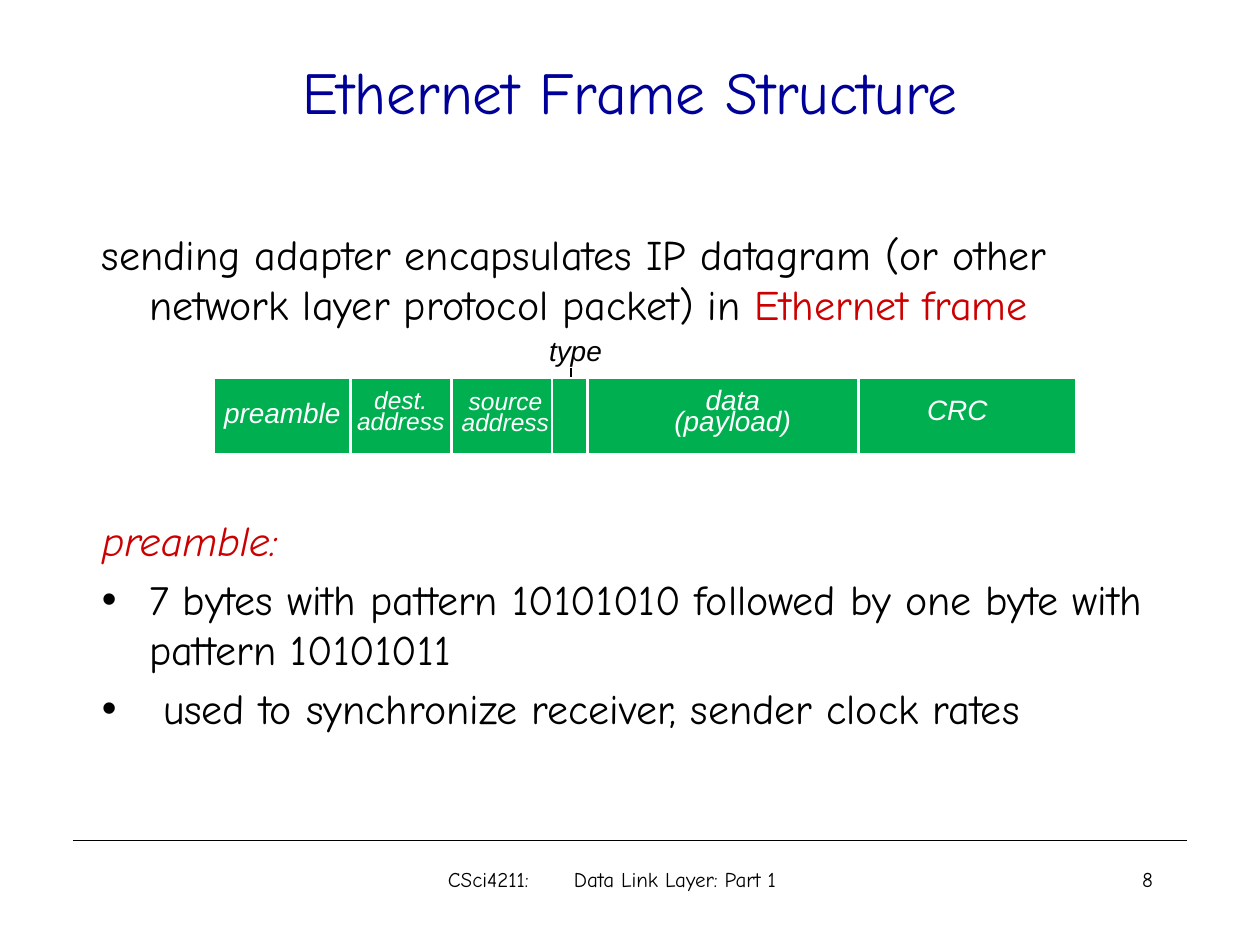
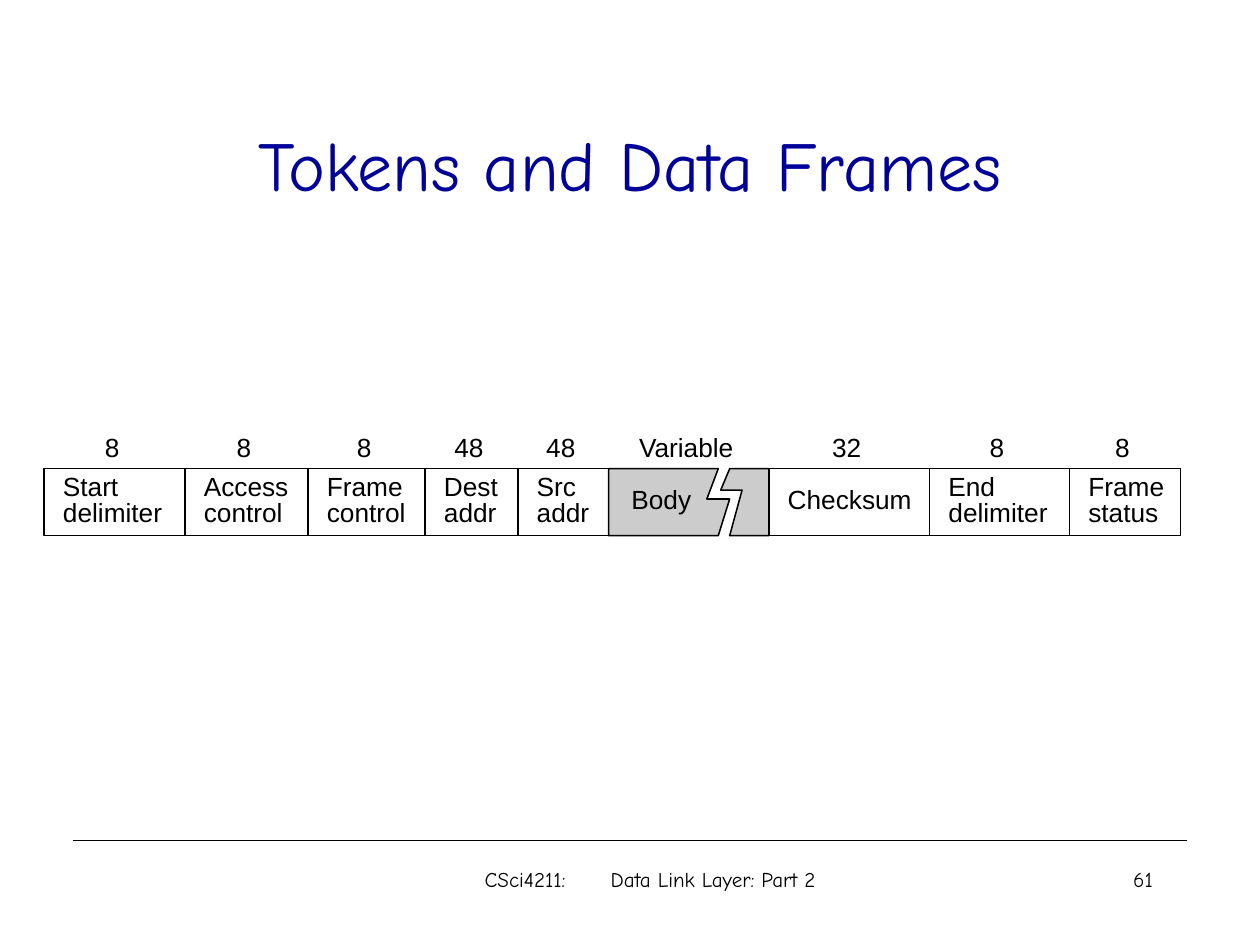
"""Build two slides on Ethernet and token ring frame formats."""
import itertools

import pptx
import pptx.dml.color
import pptx.enum.shapes
import pptx.enum.text
import pptx.util
from lxml import etree
from pptx.oxml.ns import qn

Cm = pptx.util.Cm
Pt = pptx.util.Pt
RGBColor = pptx.dml.color.RGBColor
Align = pptx.enum.text.PP_ALIGN
Anchor = pptx.enum.text.MSO_ANCHOR

BLACK = RGBColor(0x00, 0x00, 0x00)
WHITE = RGBColor(0xFF, 0xFF, 0xFF)
NAVY = RGBColor(0x00, 0x00, 0x99)
RED = RGBColor(0xCC, 0x00, 0x00)
GREEN = RGBColor(0x00, 0xB0, 0x50)
GREY = RGBColor(0xCC, 0xCC, 0xCC)
HAND = "Comic Neue"
SANS = "Arial"

TITLE_AND_BODY, TITLE_ONLY = 1, 5
FOOTER_TEXT_WIDTH = 7.11
FOOTER_TAB = 3.02
HANGING = 0.95

# label, right edge, label centre, label top, label width, size
ETHERNET_FIELDS = [
    ("preamble", 2.74, 1.37, 0.48, 2.97, 16),
    ("dest.\naddress", 4.78, 3.76, 0.18, 2.34, 14),
    ("source\naddress", 6.81, 5.87, 0.2, 2.34, 14),
    ("", 7.52, 0, 0, 0, 0),
    ("data (payload)", 12.98, 10.45, 0.23, 3.84, 16),
    ("CRC", 17.37, 14.98, 0.43, 2.39, 16),
]
# label, bits, width
TOKEN_FIELDS = [
    ("Start\ndelimiter", "8", 2.84),
    ("Access\ncontrol", "8", 2.48),
    ("Frame\ncontrol", "8", 2.36),
    ("Dest\naddr", "48", 1.87),
    ("Src\naddr", "48", 1.83),
    ("Body", "Variable", 3.23),
    ("Checksum", "32", 3.24),
    ("End\ndelimiter", "8", 2.82),
    ("Frame\nstatus", "8", 2.24),
]
BODY_PIECES = [
    [(0, 0), (2.21, 0), (1.98, 0.61), (2.44, 0.61), (2.21, 1.35), (0, 1.35)],
    [(3.23, 0), (2.44, 0), (2.26, 0.43), (2.69, 0.43), (2.44, 1.35), (3.23, 1.35)],
]


def set_font(para, size, color, name, italic=False):
    """Set the font of a whole paragraph."""
    para.font.size = Pt(size)
    para.font.name = name
    para.font.italic = italic
    para.font.color.rgb = color


def write(frame, text, size, color, name, align=Align.LEFT, italic=False, spacing=None):
    """Fill a text frame, one paragraph a line."""
    frame.word_wrap = True
    frame.text = text
    for para in frame.paragraphs:
        para.alignment = align
        para.line_spacing = spacing
        set_font(para, size, color, name, italic)


def place(shape, box):
    """Move a shape to a box given in centimetres."""
    shape.left, shape.top, shape.width, shape.height = map(Cm, box)


def add_label(page, box, text, size, color, name, **style):
    """Add a text box and return its frame."""
    frame = page.shapes.add_textbox(*map(Cm, box)).text_frame
    write(frame, text, size, color, name, **style)
    return frame


def add_line(page, start, end, color, width):
    """Add a straight line without a shadow."""
    line = page.shapes.add_connector(
        pptx.enum.shapes.MSO_CONNECTOR.STRAIGHT, *map(Cm, start + end))
    line.line.color.rgb = color
    line.line.width = Pt(width)
    etree.SubElement(line._element.spPr, qn("a:effectLst"))


def paint(shape, fill, line, width):
    """Give a shape its fill and outline; None leaves it unfilled."""
    shape.shadow.inherit = False
    if fill is None:
        shape.fill.background()
    else:
        shape.fill.solid()
        shape.fill.fore_color.rgb = fill
    shape.line.color.rgb = line
    shape.line.width = Pt(width)


def add_rectangle(page, box, fill, line, width):
    """Add a painted rectangle."""
    shape = page.shapes.add_shape(
        pptx.enum.shapes.MSO_SHAPE.RECTANGLE, *map(Cm, box))
    paint(shape, fill, line, width)
    return shape


def add_footer(page, box, topic, number):
    """Add the rule, the course line and the page number."""
    left, top, width, height = box
    add_line(page, (1.47, 16.94), (23.93, 16.94), BLACK, 0.75)
    add_label(page, (18.21, top, 5.28, height), number, 12, BLACK, HAND,
              align=Align.RIGHT)
    frame = page.shapes.add_textbox(*map(Cm, box)).text_frame
    frame.margin_left = Cm((width - FOOTER_TEXT_WIDTH) / 2)
    frame.margin_right = 0
    properties = frame.paragraphs[0]._p.get_or_add_pPr()
    tabs = etree.SubElement(properties, qn("a:tabLst"))
    etree.SubElement(tabs, qn("a:tab"), pos=str(Cm(FOOTER_TAB)), algn="l")
    write(frame, f"CSci4211:\t{topic}", 12, BLACK, HAND)


def add_page(deck, layout, title, title_box, title_size, footer_width, topic, number):
    """Add a slide with the shared title style and footer."""
    page = deck.slides.add_slide(deck.slide_layouts[layout])
    place(page.shapes.title, title_box)
    write(page.shapes.title.text_frame, title, title_size, NAVY, HAND,
          align=Align.CENTER)
    page.shapes.title.text_frame.vertical_anchor = Anchor.MIDDLE
    add_footer(page, (8.46, 17.35, footer_width, 1.27), topic, number)
    return page


def fill_body(body, box):
    """Write the text above and below the frame diagram."""
    place(body, box)
    frame = body.text_frame
    frame.auto_size = pptx.enum.text.MSO_AUTO_SIZE.NONE
    lines = [
        ("sending adapter encapsulates IP datagram (or other network layer "
         "protocol packet) in ", False, 5, BLACK),
        ("preamble:", False, 106, RED),
        ("7 bytes with pattern 10101010 followed by one byte with pattern 10101011",
         True, 5, BLACK),
        (" used to synchronize receiver, sender clock rates", True, 5, BLACK),
    ]
    for index, (text, bulleted, gap, color) in enumerate(lines):
        para = frame.add_paragraph() if index else frame.paragraphs[0]
        para.add_run().text = text
        para.space_before = Pt(gap)
        properties = para._p.get_or_add_pPr()
        properties.set("marL", str(Cm(HANGING)))
        properties.set("indent", str(-Cm(HANGING)))
        if not bulleted:
            etree.SubElement(properties, qn("a:buNone"))
        set_font(para, 24, color, HAND, italic=color == RED)
    span = frame.paragraphs[0].add_run()
    span.text = "Ethernet frame"
    span.font.color.rgb = RED


def add_ethernet_frame(page, box):
    """Draw the green frame with its fields."""
    left, top, width, height = box
    tick = left + 7.19
    add_line(page, (tick, top - 0.2), (tick, top + 0.36), BLACK, 0.75)
    add_rectangle(page, box, GREEN, WHITE, 0.75)
    for _, edge, *_ in ETHERNET_FIELDS[:-1]:
        add_line(page, (left + edge, top), (left + edge, top + height), WHITE, 1.5)
    for text, _, centre, drop, breadth, size in ETHERNET_FIELDS:
        if text:
            label_box = (left + centre - breadth / 2, top + drop, breadth, 0.74)
            add_label(page, label_box, text, size, WHITE, SANS,
                      align=Align.CENTER, italic=True, spacing=Pt(12))
    add_label(page, (left + 6.5, top - 1.02, 2.13, 0.94), "type", 16, BLACK, SANS,
              italic=True)


def add_broken_cell(page, left, top):
    """Draw the grey cell that is split by a zigzag gap."""
    for piece in BODY_PIECES:
        points = [(Cm(left + x), Cm(top + y)) for x, y in piece]
        builder = page.shapes.build_freeform(*points[0])
        builder.add_line_segments(points[1:], close=True)
        paint(builder.convert_to_shape(), GREY, BLACK, 0.88)


def add_token_frame(page, box):
    """Draw the row of token ring fields with their bit counts."""
    left, top, _, height = box
    widths = [width for _, _, width in TOKEN_FIELDS]
    offsets = itertools.accumulate(widths, initial=0)
    for (text, bits, width), offset in zip(TOKEN_FIELDS, offsets):
        cell = (left + offset, top, width, height)
        if text == "Body":
            add_broken_cell(page, left + offset, top)
        else:
            add_rectangle(page, cell, None, BLACK, 0.88)
        frame = add_label(page, cell, text, 15, BLACK, SANS, spacing=Pt(14.5))
        frame.vertical_anchor = Anchor.MIDDLE
        frame.margin_left = Cm(0.46 if text == "Body" else 0.38)
        frame.margin_right = frame.margin_top = frame.margin_bottom = 0
        count = add_label(page, (left + offset - 0.05, top - 0.76, width, 0.71),
                          bits, 15, BLACK, SANS, align=Align.CENTER)
        count.margin_top = count.margin_bottom = 0


def build_ethernet_page(deck):
    """Build the slide on the Ethernet frame."""
    page = add_page(deck, TITLE_AND_BODY, "Ethernet Frame Structure",
                    (1.9, 0.97, 21.6, 1.7), 34, 8.25, "Data Link Layer: Part 1", "8")
    fill_body(page.placeholders[1], (1.8, 4.47, 21.59, 12.06))
    add_ethernet_frame(page, (4.32, 7.62, 17.37, 1.52))


def build_token_page(deck):
    """Build the slide on the token ring frame."""
    page = add_page(deck, TITLE_ONLY, "Tokens and Data Frames",
                    (1.9, 1.7, 21.6, 3.18), 40, 9.73, "Data Link Layer: Part 2", "61")
    add_token_frame(page, (0.89, 9.45, 22.91, 1.35))


def main():
    """Build and save the deck."""
    deck = pptx.Presentation()
    deck.slide_width, deck.slide_height = Cm(25.4), Cm(19.05)
    build_ethernet_page(deck)
    build_token_page(deck)
    deck.save("out.pptx")


if __name__ == "__main__":
    main()
